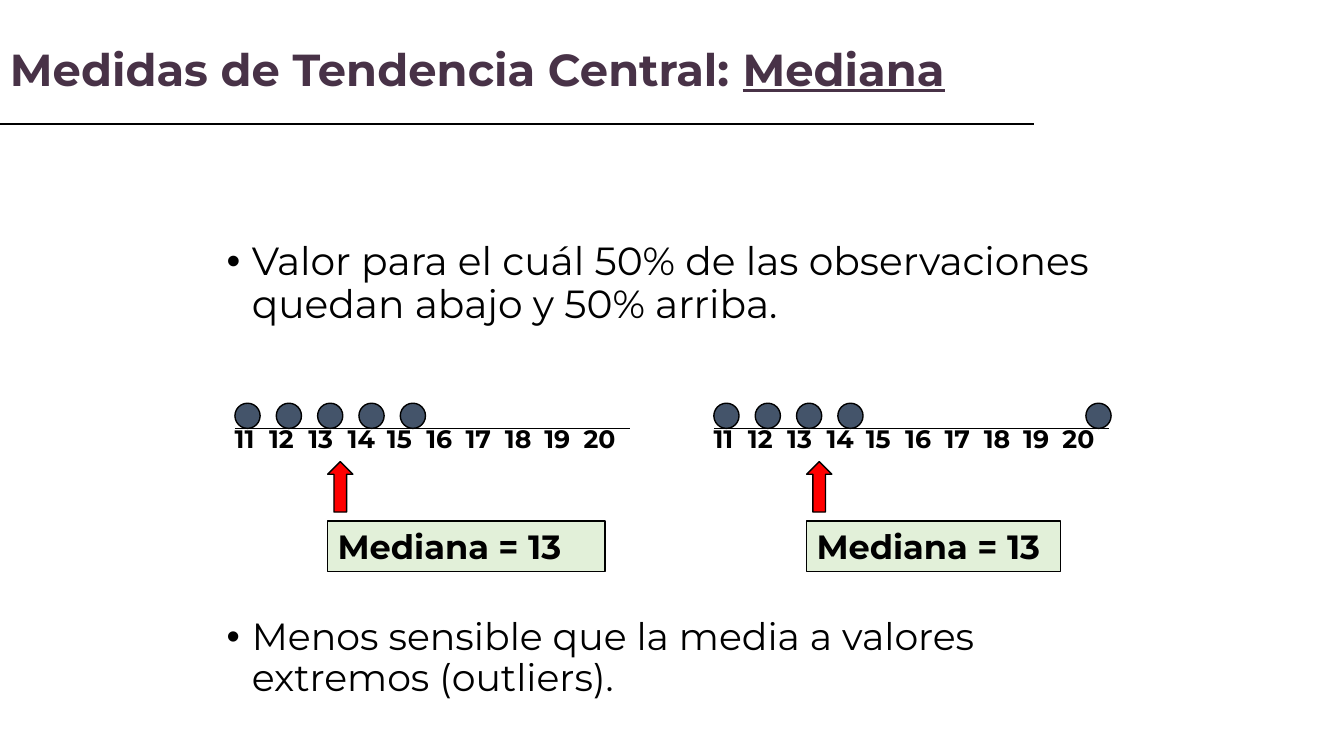
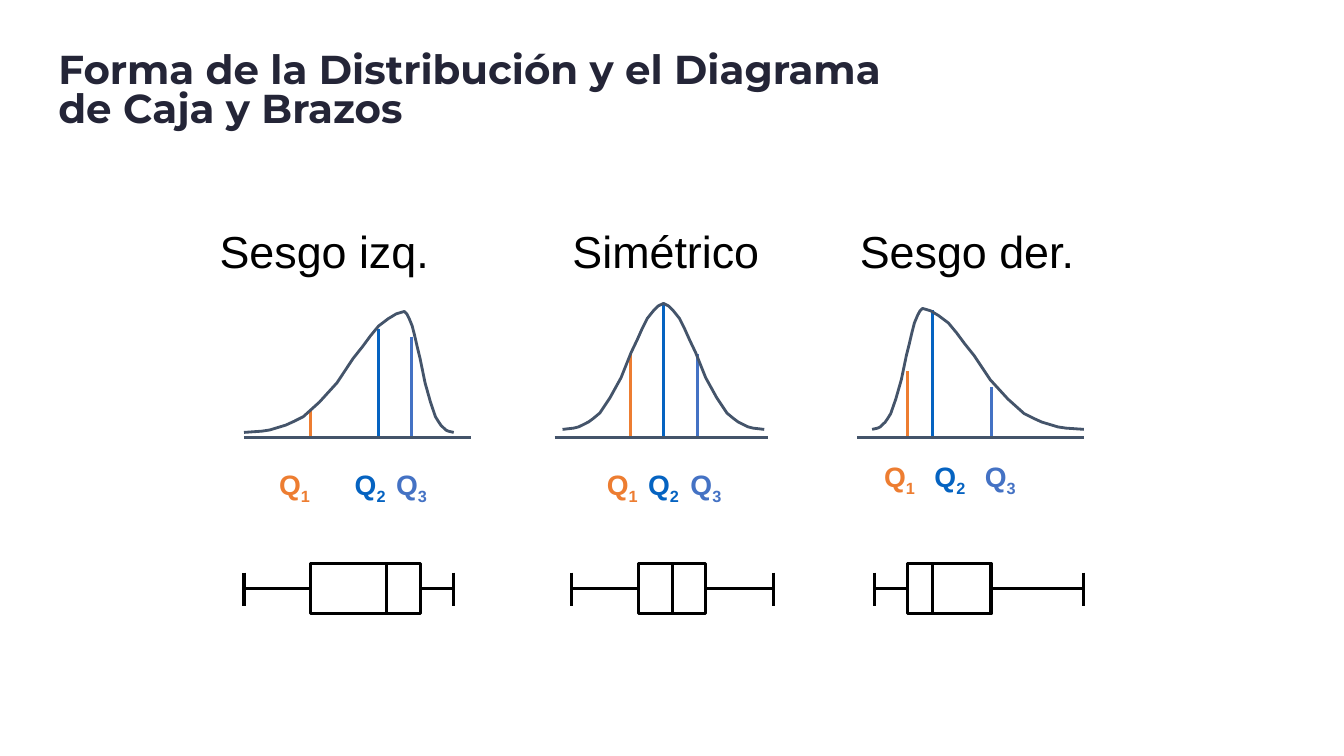
from dataclasses import dataclass

from lxml import etree
from pptx import Presentation
from pptx import util as u
from pptx.dml.color import RGBColor
from pptx.enum import shapes, text
from pptx.oxml.ns import qn

BODY_FONT, LABEL_FONT = "Montserrat", "Arial"
BLACK, SLATE, RED, PALE_GREEN = "000000", "44546A", "FF0000", "E2F0D9"
PLUM, NAVY = "483247", "242537"
QUARTILE_COLORS = ("ED7D31", "0563C1", "4472C4")

# Rise of a bell flank from foot to peak: (share of width, share of height)
FLANK = ((0, 0), (0.11, 0.01), (0.16, 0.02), (0.21, 0.04), (0.26, 0.06),
         (0.31, 0.09), (0.37, 0.13), (0.47, 0.25), (0.58, 0.41),
         (0.68, 0.61), (0.74, 0.71), (0.79, 0.8), (0.84, 0.88),
         (0.9, 0.94), (0.95, 0.98), (1, 1))


@dataclass
class Distribution:
    """Measures in inches; x from the axis start, heights above the axis."""
    heading: str
    heading_x: float
    axis_width: float
    curve_x: tuple  # left foot, peak, right foot
    foot: float
    peak: float
    quartiles: tuple  # (x, height) of each quartile line
    label_x: tuple
    label_drop: float
    box_plot: tuple  # minimum, Q1, median, Q3, maximum


DISTRIBUTIONS = (
    (2.42, Distribution("Sesgo izq.", -0.34, 2.25, (0, 1.59, 2.08), 0.05, 1.25,
                        ((0.66, 0.26), (1.33, 1.08), (1.66, 1)),
                        (0.25, 1, 1.41), 0.25, (0, 0.66, 1.41, 1.75, 2.08))),
    (5.5, Distribution("Simétrico", 0.08, 2.12, (0.08, 1.08, 2.08), 0.08, 1.33,
                       ((0.75, 0.83), (1.08, 1.33), (1.42, 0.83)),
                       (0.42, 0.83, 1.25), 0.25,
                       (0.17, 0.83, 1.17, 1.5, 2.17))),
    (8.5, Distribution("Sesgo der.", -0.07, 2.25, (0.15, 0.65, 2.25), 0.08, 1.28,
                       ((0.5, 0.66), (0.75, 1.26), (1.33, 0.5)),
                       (0.17, 0.67, 1.17), 0.17,
                       (0.17, 0.5, 0.75, 1.33, 2.25))),
)


def rgb(hex_color):
    return RGBColor.from_string(hex_color)


def inches(*lengths):
    return [u.Inches(length) for length in lengths]


def write(paragraph, content, size, font=BODY_FONT, color=BLACK, bold=False,
          underline=False, subscript=False):
    """Append one formatted run to the paragraph."""
    run = paragraph.add_run()
    run.text = content
    run.font.size = u.Pt(size)
    run.font.name = font
    run.font.bold = bold
    run.font.underline = underline
    run.font.color.rgb = rgb(color)
    if subscript:
        run._r.get_or_add_rPr().set("baseline", "-25000")


def add_frame(slide, x, y, width, height, anchor=text.MSO_ANCHOR.TOP):
    frame = slide.shapes.add_textbox(*inches(x, y, width, height)).text_frame
    frame.word_wrap = True
    frame.vertical_anchor = anchor
    return frame


def add_line(slide, start, end, color=BLACK, weight=1):
    line = slide.shapes.add_connector(
        shapes.MSO_CONNECTOR.STRAIGHT, *inches(*start, *end))
    line.line.color.rgb = rgb(color)
    line.line.width = u.Pt(weight)
    etree.SubElement(line._element.spPr, qn("a:effectLst"))
    return line


def style_shape(shape, fill=None, line=BLACK, weight=1):
    shape.shadow.inherit = False
    if fill:
        shape.fill.solid()
        shape.fill.fore_color.rgb = rgb(fill)
    else:
        shape.fill.background()
    shape.line.color.rgb = rgb(line)
    shape.line.width = u.Pt(weight)
    return shape


def add_preset(slide, preset, x, y, width, height, **style):
    shape = slide.shapes.add_shape(preset, *inches(x, y, width, height))
    return style_shape(shape, **style)


def add_title(slide, box, size, color, spacing, content, underlined=""):
    paragraph = add_frame(slide, *box, anchor=text.MSO_ANCHOR.MIDDLE).paragraphs[0]
    paragraph.line_spacing = spacing
    write(paragraph, content, size, color=color, bold=True)
    if underlined:
        write(paragraph, underlined, size, color=color, bold=True, underline=True)


def add_bullet(paragraph, content, size, space_before=0):
    paragraph.line_spacing = 0.9
    paragraph.space_before = u.Pt(space_before)
    properties = paragraph._p.get_or_add_pPr()
    properties.set("marL", str(u.Inches(0.25)))
    properties.set("indent", str(-u.Inches(0.25)))
    etree.SubElement(properties, qn("a:buFont"), typeface=LABEL_FONT)
    etree.SubElement(properties, qn("a:buChar"), char="•")
    write(paragraph, content, size)


def add_scale_labels(slide, x, y):
    """Numbers 11 to 20 in one line, set apart by tab stops."""
    paragraph = add_frame(slide, x, y, 4.36, 0.4).paragraphs[0]
    stops = etree.SubElement(paragraph._p.get_or_add_pPr(), qn("a:tabLst"))
    for step in range(9):
        etree.SubElement(stops, qn("a:tab"), algn="l",
                         pos=str(u.Inches(0.34 + 0.39 * step)))
    write(paragraph, "\t".join(map(str, range(11, 21))), 18, bold=True)


def add_dot_plot(slide, x, y, values, result_width):
    """Dots on a number line starting at (x, y), with the median below."""
    add_preset(slide, shapes.MSO_SHAPE.UP_ARROW, x + 0.92, y + 0.33, 0.25, 0.5,
               fill=RED)
    result = add_preset(slide, shapes.MSO_SHAPE.RECTANGLE, x + 0.92, y + 0.92,
                        result_width, 0.5, fill=PALE_GREEN).text_frame
    result.word_wrap = True
    result.vertical_anchor = text.MSO_ANCHOR.TOP
    result.paragraphs[0].alignment = text.PP_ALIGN.LEFT
    write(result.paragraphs[0], "Mediana = 13", 24, bold=True)
    add_scale_labels(slide, x - 0.1, y - 0.1)
    for value in values:
        add_preset(slide, shapes.MSO_SHAPE.OVAL, x + 0.41 * (value - 11),
                   y - 0.25, 0.25, 0.25, fill=SLATE)
    add_line(slide, (x, y), (x + 3.92, y))


def add_bell(slide, x, axis_y, dist):
    left, peak, right = dist.curve_x

    def flank(foot_x):
        return [inches(x + foot_x + (peak - foot_x) * across,
                       axis_y - dist.foot - (dist.peak - dist.foot) * up)
                for across, up in FLANK]

    start, *rest = flank(left) + flank(right)[-2::-1]
    builder = slide.shapes.build_freeform(*start)
    builder.add_line_segments(rest, close=False)
    style_shape(builder.convert_to_shape(), line=SLATE, weight=2)


def add_box_plot(slide, x, y, values):
    low, q1, median, q3, high = (x + value for value in values)
    height, weight = 0.5, 2.25
    middle = y + height / 2
    box = add_preset(slide, shapes.MSO_SHAPE.RECTANGLE, q1, y, q3 - q1, height,
                     weight=weight)
    add_line(slide, (median, y), (median, y + height), weight=weight)
    for tip, side_x, side in ((low, q1, 1), (high, q3, 3)):
        whisker = add_line(slide, (tip, middle), (side_x, middle), weight=weight)
        whisker.end_connect(box, side)
        add_line(slide, (tip, middle - 0.16), (tip, middle + 0.17), weight=weight)


def add_distribution(slide, x, y, dist):
    """Heading, bell curve with quartiles, and box plot; y is the top."""
    heading = add_frame(slide, x + dist.heading_x, y, 2.7, 0.64)
    write(heading.paragraphs[0], dist.heading, 32, font=LABEL_FONT)
    axis_y = y + 2.17
    for (line_x, height), color in zip(dist.quartiles, QUARTILE_COLORS):
        add_line(slide, (x + line_x, axis_y - height), (x + line_x, axis_y),
                 color, 2)
    add_bell(slide, x, axis_y, dist)
    add_line(slide, (x, axis_y), (x + dist.axis_width, axis_y), SLATE, 2.25)
    for number, (label_x, color) in enumerate(
            zip(dist.label_x, QUARTILE_COLORS), start=1):
        label = add_frame(slide, x + label_x, axis_y + dist.label_drop, 0.67, 0.43)
        look = dict(size=20, font=LABEL_FONT, color=color, bold=True)
        write(label.paragraphs[0], "Q", **look)
        write(label.paragraphs[0], str(number), subscript=True, **look)
    add_box_plot(slide, x, axis_y + 1.25, dist.box_plot)


def build_median_slide(slide):
    add_title(slide, (0, 0.17, 11.75, 1.08), 32, PLUM, 0.9,
              "Medidas de Tendencia Central: ", underlined="Mediana")
    add_line(slide, (0, 1.23), (10.26, 1.23), weight=1.5)
    points = add_frame(slide, 2.15, 2.35, 9.17, 4.89)
    add_bullet(points.paragraphs[0], "Valor para el cuál 50% de las "
               "observaciones quedan abajo y 50% arriba.", 28)
    add_bullet(points.add_paragraph(), "Menos sensible que la media a valores "
               "extremos (outliers).", 27, space_before=208)
    add_dot_plot(slide, 2.33, 4.25, (11, 12, 13, 14, 15), 2.75)
    add_dot_plot(slide, 7.08, 4.25, (11, 12, 13, 14, 20), 2.52)


def build_shape_slide(slide):
    add_title(slide, (0.48, 0.5, 8.52, 0.83), 28.8, NAVY, 0.8,
              "Forma de la Distribución y el Diagrama de Caja y Brazos")
    for x, dist in DISTRIBUTIONS:
        add_distribution(slide, x, 2.17, dist)


def main():
    deck = Presentation()
    deck.slide_width, deck.slide_height = inches(13.33, 7.5)
    for build in (build_median_slide, build_shape_slide):
        build(deck.slides.add_slide(deck.slide_layouts[6]))
    deck.save("out.pptx")


if __name__ == "__main__":
    main()
